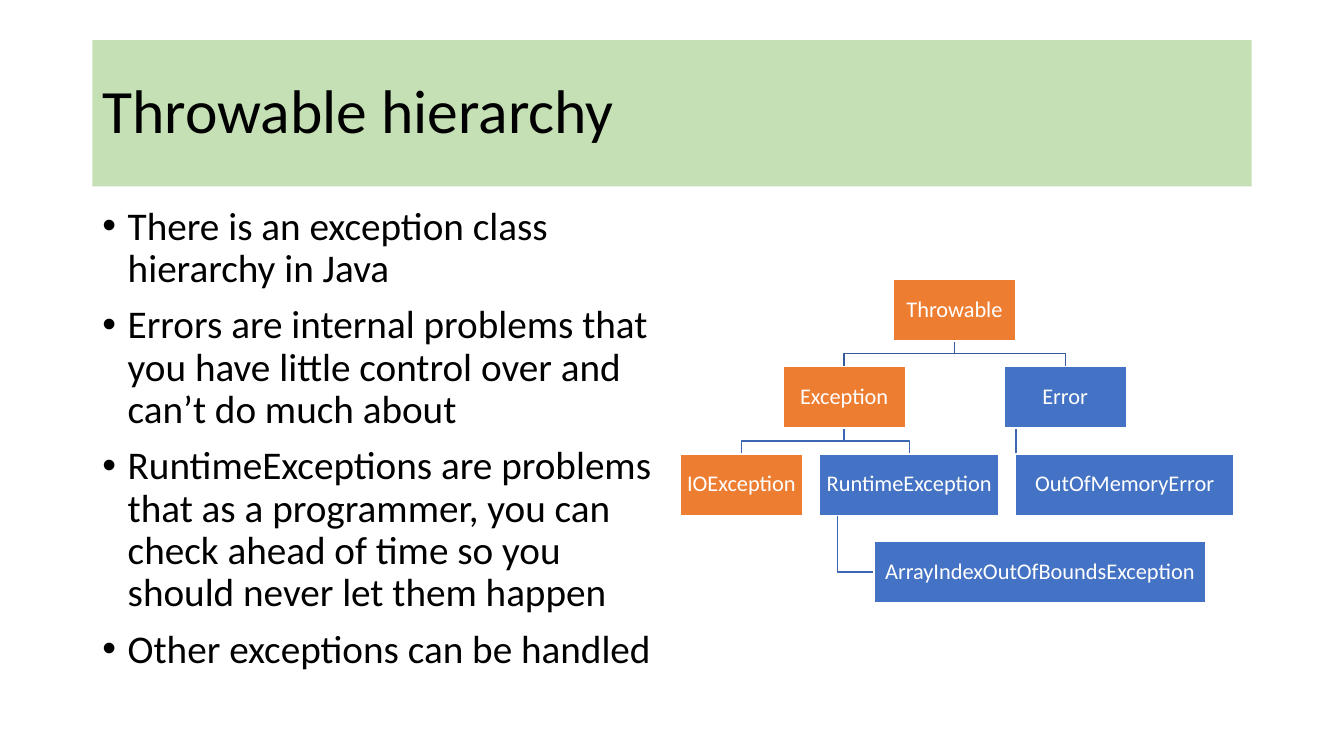
from dataclasses import dataclass

from lxml.etree import SubElement
from pptx import Presentation
from pptx.dml.color import RGBColor as RGB
from pptx.enum.shapes import MSO_SHAPE as SHAPE
from pptx.enum.text import MSO_ANCHOR as ANCHOR, MSO_AUTO_SIZE as AUTO, PP_ALIGN as ALIGN
from pptx.oxml.ns import qn
from pptx.util import Cm, Pt


@dataclass(frozen=True)
class Theme:
    font: str = "Calibri"
    text: str = "000000"
    light: str = "FFFFFF"
    banner: str = "C5E0B4"
    checked: str = "ED7D31"
    unchecked: str = "4472C4"
    top_link: str = "365B9D"
    link: str = "3E67B2"
    title_size: int = 44
    body_size: int = 28
    node_size: int = 16
    line: int = 1


class SlideBuilder:
    def __init__(self, slide, theme):
        self.slide, self.theme = slide, theme

    def apply(self, target, values):
        for name, value in values.items():
            setattr(target, name, value)

    def fill(self, shape, color):
        shape.fill.solid()
        shape.fill.fore_color.rgb = RGB.from_string(color)

    def outline(self, shape, color):
        shape.line.color.rgb = RGB.from_string(color)
        shape.line.width = Pt(self.theme.line)
        shape.shadow.inherit = False

    def set_text(self, shape, paragraphs, size, color, frame_format, paragraph_format):
        frame = shape.text_frame
        frame.text = "\n".join(paragraphs)
        self.apply(frame, {"word_wrap": True, "auto_size": AUTO.NONE, **frame_format})
        for paragraph in frame.paragraphs:
            self.apply(paragraph, {"line_spacing": 0.9, **paragraph_format})
            font = paragraph.runs[0].font
            self.apply(font, {"name": self.theme.font, "size": Pt(size)})
            font.color.rgb = RGB.from_string(color)
        return frame.paragraphs

    def title(self, text, left, top, width, height):
        banner = self.slide.shapes.title
        self.apply(banner, {"left": Cm(left), "top": Cm(top),
                            "width": Cm(width), "height": Cm(height)})
        self.fill(banner, self.theme.banner)
        self.set_text(banner, [text], self.theme.title_size, self.theme.text,
                      {"vertical_anchor": ANCHOR.MIDDLE}, {"alignment": ALIGN.LEFT})

    def bullets(self, points, left, top, width, height):
        box = self.slide.shapes.add_textbox(Cm(left), Cm(top), Cm(width), Cm(height))
        indent = Cm(0.64)
        for paragraph in self.set_text(box, points, self.theme.body_size, self.theme.text,
                                       {}, {"space_before": Pt(10)}):
            properties = paragraph._p.get_or_add_pPr()
            properties.set("marL", str(indent))
            properties.set("indent", str(-indent))
            SubElement(properties, qn("a:buFont"), typeface="Arial")
            SubElement(properties, qn("a:buChar"), char="•")

    def link(self, points, color):
        start, *rest = [(Cm(x), Cm(y)) for x, y in points]
        outline = self.slide.shapes.build_freeform(*start)
        outline.add_line_segments(rest, close=False)
        branch = outline.convert_to_shape()
        branch.fill.background()
        self.outline(branch, color)

    def node(self, text, left, top, width, height, color):
        box = self.slide.shapes.add_shape(SHAPE.RECTANGLE, Cm(left), Cm(top),
                                          Cm(width), Cm(height))
        self.fill(box, color)
        self.outline(box, self.theme.light)
        sides = ("left", "top", "right", "bottom")
        margins = {f"margin_{side}": Cm(0.03) for side in sides}
        self.set_text(box, [text], self.theme.node_size, self.theme.light,
                      {"vertical_anchor": ANCHOR.MIDDLE, **margins},
                      {"alignment": ALIGN.CENTER})


theme = Theme()
deck = Presentation()
deck.slide_width, deck.slide_height = Cm(33.87), Cm(19.05)
builder = SlideBuilder(deck.slides.add_slide(deck.slide_layouts[5]), theme)

# Title and explanation
builder.title("Throwable hierarchy", 2.33, 1.01, 29.21, 3.69)
builder.bullets([
    "There is an exception class hierarchy in Java",
    "Errors are internal problems that you have little control over and can’t do much about",
    "RuntimeExceptions are problems that as a programmer, you can check ahead of time "
    "so you should never let them happen",
    "Other exceptions can be handled",
], 2.33, 5.07, 14.4, 12.1)

# Class tree: name -> (level, left, width, color)
first_top, level_pitch, node_height, node_width = 7.04, 2.2, 1.55, 3.09
classes = {
    "Throwable": (0, 22.51, node_width, theme.checked),
    "Exception": (1, 19.73, node_width, theme.checked),
    "IOException": (2, 17.14, node_width, theme.checked),
    "RuntimeException": (2, 20.65, 4.53, theme.unchecked),
    "ArrayIndexOutOfBoundsException": (3, 22.03, 8.36, theme.unchecked),
    "Error": (1, 25.3, node_width, theme.unchecked),
    "OutOfMemoryError": (2, 25.6, 5.49, theme.unchecked),
}
# Subclass, superclass, whether it hangs from the left side
inheritance = [
    ("OutOfMemoryError", "Error", True),
    ("Error", "Throwable", False),
    ("ArrayIndexOutOfBoundsException", "RuntimeException", True),
    ("RuntimeException", "Exception", False),
    ("IOException", "Exception", False),
    ("Exception", "Throwable", False),
]


def level_top(level):
    return first_top + level * level_pitch


# Links lie behind the class boxes
for subclass, superclass, hanging in inheritance:
    level, left, width, _ = classes[subclass]
    super_level, super_left, super_width, _ = classes[superclass]
    top, super_bottom = level_top(level), level_top(super_level) + node_height
    if hanging:
        stem, middle = super_left + super_width / 10, top + node_height / 2
        points = [(stem, super_bottom), (stem, middle), (left, middle)]
    else:
        stem, center = super_left + super_width / 2, left + width / 2
        middle = (super_bottom + top) / 2
        points = [(stem, super_bottom), (stem, middle), (center, middle), (center, top)]
    builder.link(points, theme.link if super_level else theme.top_link)

for name, (level, left, width, color) in classes.items():
    builder.node(name, left, level_top(level), width, node_height, color)

deck.save("out.pptx")
